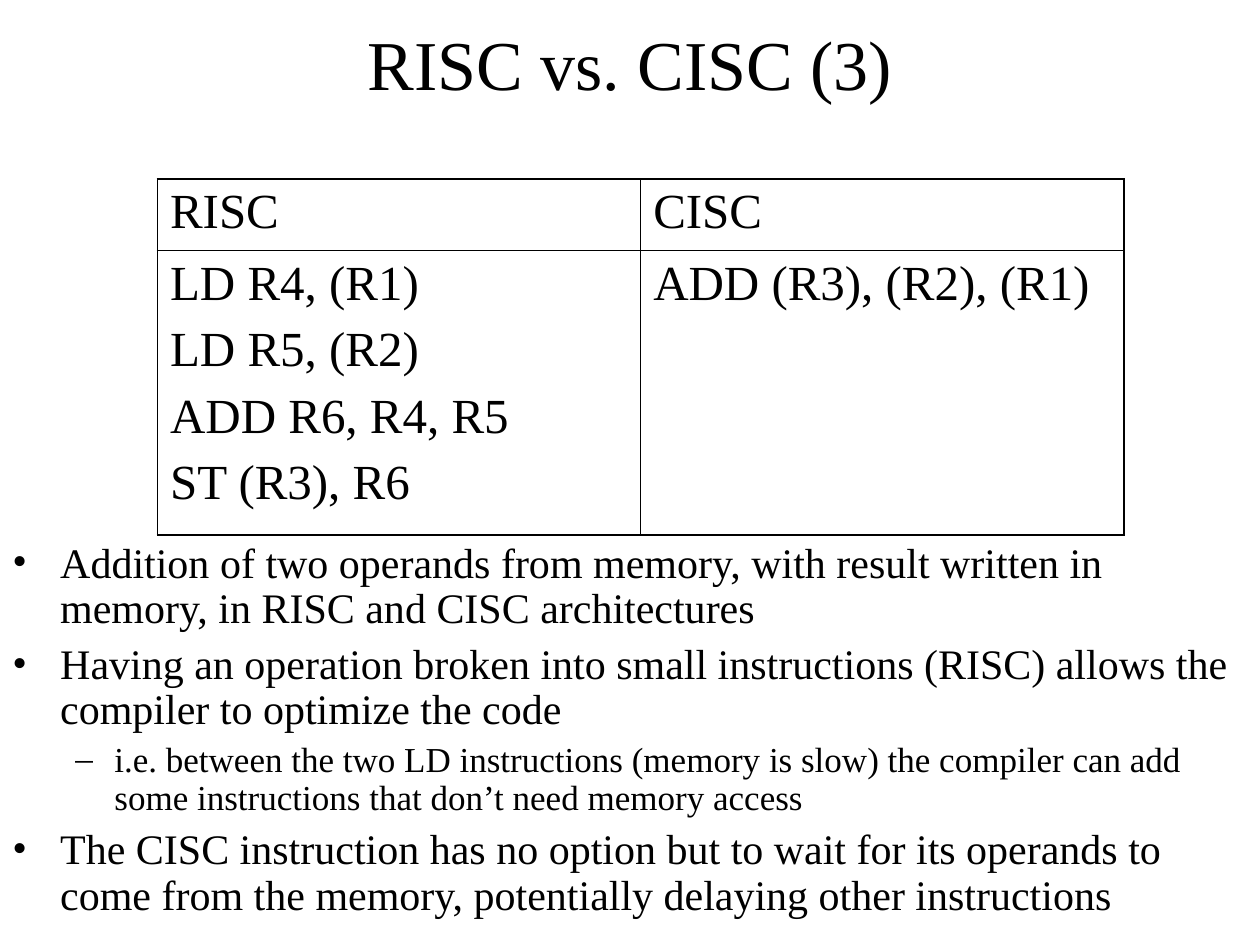
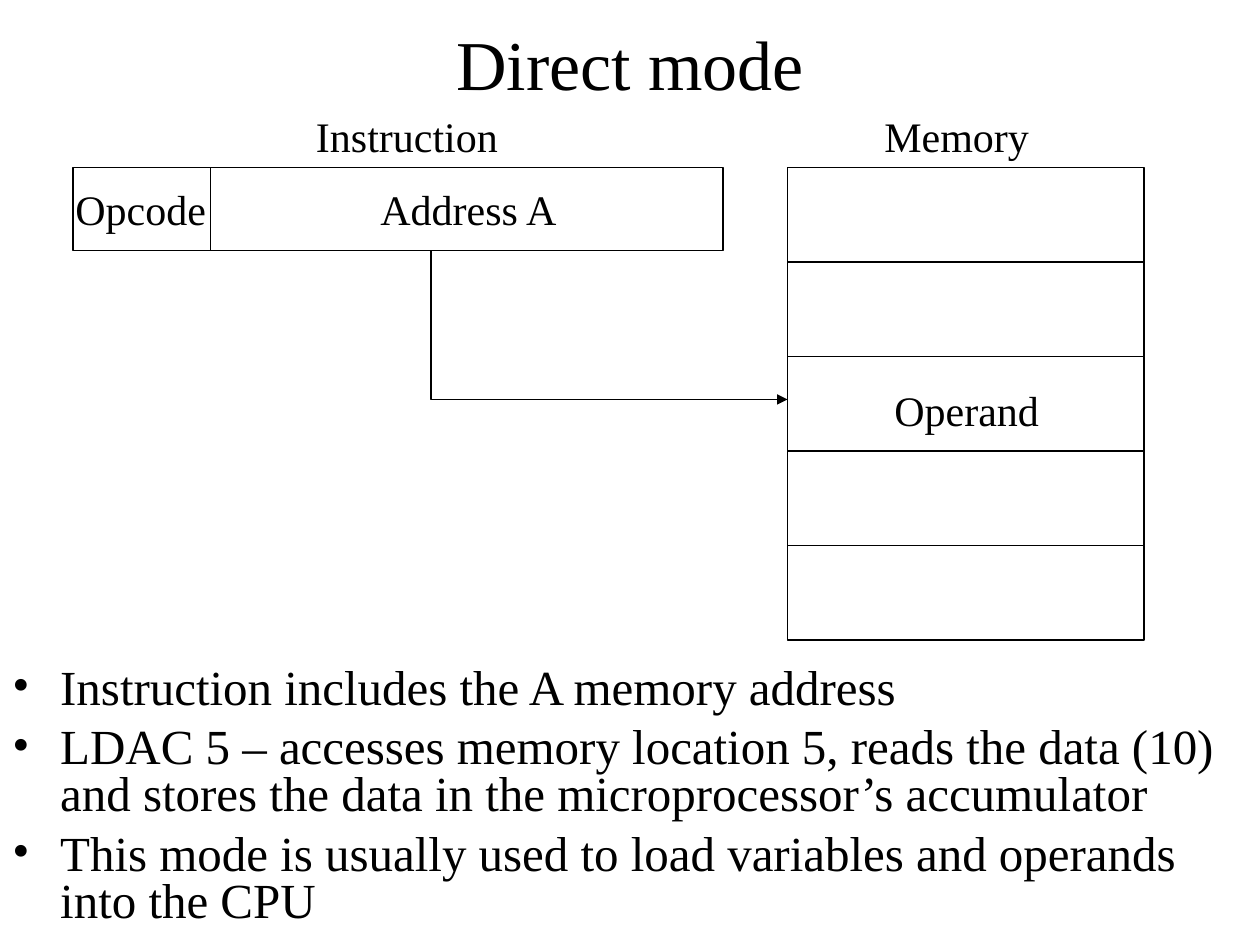
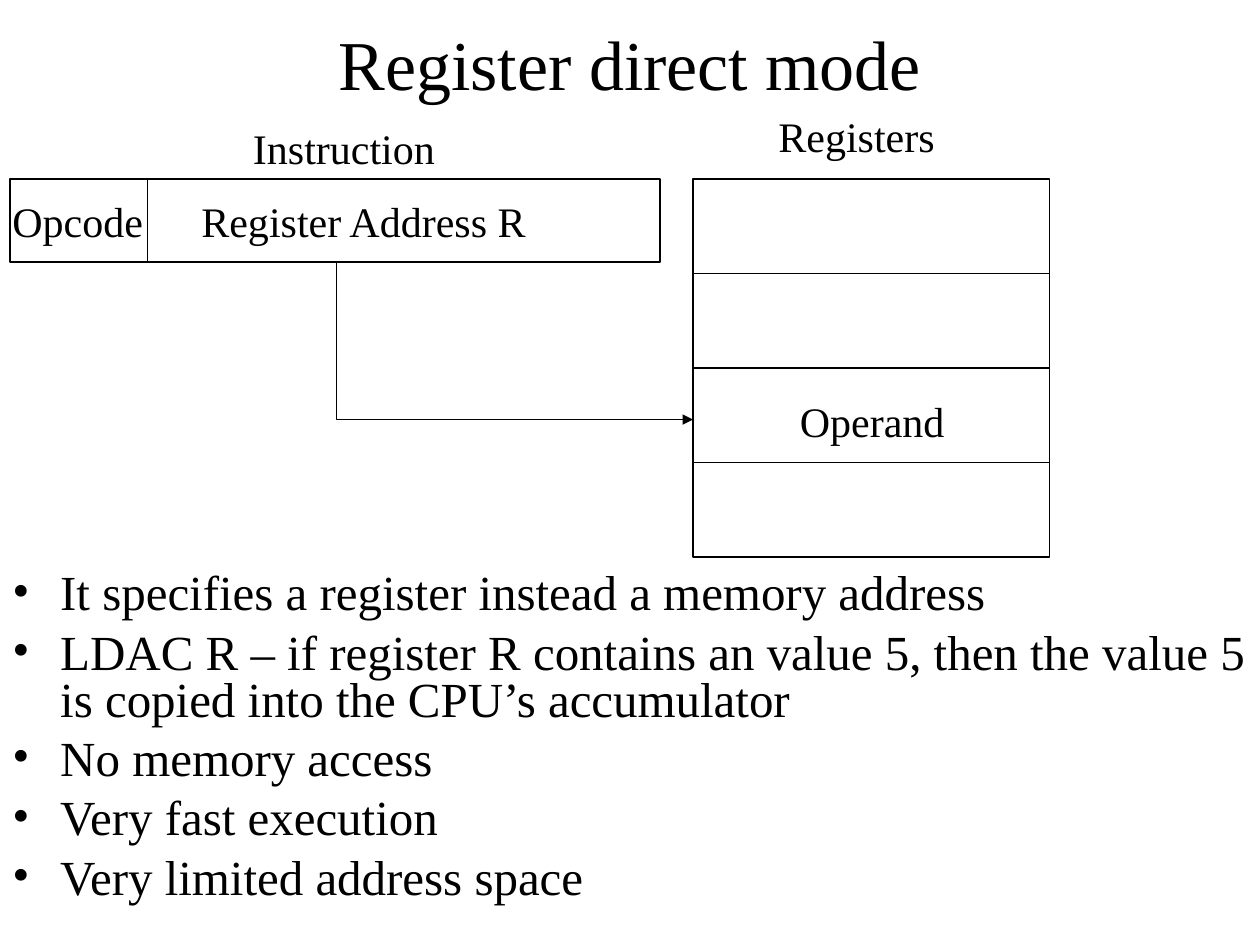
from dataclasses import dataclass

from lxml.etree import SubElement
from pptx import Presentation
from pptx.dml.color import RGBColor
from pptx.enum.shapes import MSO_CONNECTOR as Connector, MSO_SHAPE as Preset
from pptx.enum.text import MSO_ANCHOR as Anchor, MSO_AUTO_SIZE as AutoSize, PP_ALIGN as Align
from pptx.oxml.ns import qn
from pptx.util import Inches, Pt


@dataclass(frozen=True)
class Theme:
    ink: str = "000000"
    paper: str = "FFFFFF"
    face: str = "Times New Roman"
    title: int = 40
    large: int = 28
    medium: int = 24
    small: int = 20
    line: float = 1
    outer_border: float = 1.08
    inner_border: float = 0.45


@dataclass(frozen=True)
class Box:
    left: float
    top: float
    width: float
    height: float

    def inches(self):
        return [Inches(v) for v in (self.left, self.top, self.width, self.height)]


THEME = Theme()
INK = RGBColor.from_string(THEME.ink)
TITLE_BOX = Box(0, 0, 10, 1)
CELL_WIDTH, CELL_HEIGHT = 2.83, 0.75
FRAME_WIDTH, FRAME_HEIGHT, OPCODE_WIDTH = 5.16, 0.66, 1.09
OPERAND_CELL = 2
# Per outline level: bullet, left edge of the text, hanging width
LEVELS = [("•", 0.38, 0.38), ("–", 0.81, 0.31)]


def set_values(target, values):
    for name, value in values.items():
        setattr(target, name, value)


def add_span(para, text, size):
    span = para.add_run()
    span.text = text
    set_values(span.font, {"name": THEME.face, "size": Pt(size), "bold": False})
    span.font.color.rgb = INK


def add_solid(parent):
    fill = SubElement(parent, qn("a:solidFill"))
    SubElement(fill, qn("a:srgbClr"), val=THEME.ink)


def set_line(shape):
    shape.line.color.rgb = INK
    shape.line.width = Pt(THEME.line)


def add_page(deck, title):
    page = deck.slides.add_slide(deck.slide_layouts[5])
    page.background.fill.solid()
    page.background.fill.fore_color.rgb = RGBColor.from_string(THEME.paper)
    holder = page.shapes.title
    set_values(holder, dict(zip(("left", "top", "width", "height"), TITLE_BOX.inches())))
    set_values(holder.text_frame, {"vertical_anchor": Anchor.MIDDLE,
                                   "auto_size": AutoSize.NONE, "word_wrap": True})
    para = holder.text_frame.paragraphs[0]
    para.alignment = Align.CENTER
    add_span(para, title, THEME.title)
    return page


def add_bullets(page, box, items, sizes, line_spacing):
    """Write (level, text) items; sizes holds one type size per level."""
    frame = page.shapes.add_textbox(*box.inches()).text_frame
    frame.word_wrap = True
    for index, (level, text) in enumerate(items):
        para = frame.paragraphs[0] if index == 0 else frame.add_paragraph()
        bullet, indent, hanging = LEVELS[level]
        properties = para._p.get_or_add_pPr()
        properties.set("marL", str(Inches(indent)))
        properties.set("indent", str(-Inches(hanging)))
        colour = SubElement(properties, qn("a:buClr"))
        SubElement(colour, qn("a:srgbClr"), val=THEME.ink)
        SubElement(properties, qn("a:buFont"), typeface=THEME.face)
        SubElement(properties, qn("a:buChar"), char=bullet)
        set_values(para, {"level": level, "line_spacing": line_spacing})
        if index:
            para.space_before = Pt(round(sizes[level] / 4))
        add_span(para, text, sizes[level])


def add_label(page, left, top, width, text):
    frame = page.shapes.add_textbox(*Box(left, top, width, 0.5).inches()).text_frame
    set_values(frame, {"word_wrap": False, "auto_size": AutoSize.SHAPE_TO_FIT_TEXT})
    add_span(frame.paragraphs[0], text, THEME.medium)


def add_rectangle(shapes, box):
    shape = shapes.add_shape(Preset.RECTANGLE, *box.inches())
    shape.shadow.inherit = False
    shape.fill.background()
    set_line(shape)


def add_borders(cell, widths):
    """Draw the left, right, top and bottom borders, ahead of the cell's fill."""
    properties = cell._tc.get_or_add_tcPr()
    for index, (side, width) in enumerate(zip("LRTB", widths)):
        border = SubElement(properties, qn(f"a:ln{side}"), w=str(Pt(width)))
        add_solid(border)
        properties.insert(index, border)


def add_code_table(page, box, row_heights, rows):
    """Fill a table whose cells are lists of lines."""
    row_count, column_count = len(rows), len(rows[0])
    table = page.shapes.add_table(row_count, column_count, *box.inches()).table
    set_values(table, {"first_row": False, "horz_banding": False})
    for column in table.columns:
        column.width = Inches(box.width / column_count)
    outer, inner = THEME.outer_border, THEME.inner_border
    for r, (height, row) in enumerate(zip(row_heights, rows)):
        table.rows[r].height = Inches(height)
        for c, lines in enumerate(row):
            cell = table.cell(r, c)
            cell.fill.background()
            on_edge = (c == 0, c == column_count - 1, r == 0, r == row_count - 1)
            add_borders(cell, [outer if edge else inner for edge in on_edge])
            for index, text in enumerate(lines):
                para = cell.text_frame.paragraphs[0] if index == 0 else cell.text_frame.add_paragraph()
                if index:
                    para.space_before = Pt(7)
                add_span(para, text, THEME.large)


def add_instruction(page, left, top, address, address_left, address_width):
    group = page.shapes.add_group_shape()
    add_rectangle(group.shapes, Box(left, top, FRAME_WIDTH, FRAME_HEIGHT))
    x = Inches(left + OPCODE_WIDTH)
    divider = group.shapes.add_connector(Connector.STRAIGHT, x, Inches(top),
                                         x, Inches(top + FRAME_HEIGHT))
    set_line(divider)
    SubElement(divider._element.spPr, qn("a:effectLst"))
    add_label(page, left + address_left, top + 0.08, address_width, address)
    add_label(page, left - 0.08, top + 0.08, 1.24, "Opcode")
    add_label(page, left + 1.83, top - 0.5, 1.66, "Instruction")


def add_storage(page, left, top, cell_count, caption, caption_left, caption_width):
    """Stack the cells of a memory or register file, one holding the operand."""
    for index in range(cell_count):
        add_rectangle(page.shapes, Box(left, top + index * CELL_HEIGHT, CELL_WIDTH, CELL_HEIGHT))
    add_label(page, left + caption_left, 0.83, caption_width, caption)
    add_label(page, left + 0.75, top + OPERAND_CELL * CELL_HEIGHT + 0.17, 1.35, "Operand")


def add_elbow_arrow(page, start, end):
    """Go down from start, then across to end."""
    (x1, y1), (x2, y2) = [[Inches(v) for v in point] for point in (start, end)]
    builder = page.shapes.build_freeform(x1, y1)
    builder.add_line_segments([(x1, y2), (x2, y2)], close=False)
    arrow = builder.convert_to_shape()
    arrow.shadow.inherit = False
    arrow.fill.background()
    set_line(arrow)
    SubElement(arrow.line._get_or_add_ln(), qn("a:tailEnd"), type="triangle")


def add_comparison_page(deck):
    page = add_page(deck, "RISC vs. CISC (3)")
    add_bullets(page, Box(0, 4.25, 10, 3.25), [
        (0, "Addition of two operands from memory, with result written in memory, "
            "in RISC and CISC architectures"),
        (0, "Having an operation broken into small instructions (RISC) allows the "
            "compiler to optimize the code"),
        (1, "i.e. between the two LD instructions (memory is slow) the compiler can add "
            "some instructions that don’t need memory access"),
        (0, "The CISC instruction has no option but to wait for its operands to come "
            "from the memory, potentially delaying other instructions"),
    ], (THEME.medium, THEME.small), 0.9)
    add_code_table(page, Box(1.25, 1.42, 7.67, 2.81), (0.56, 2.25), [
        [["RISC"], ["CISC"]],
        [["LD R4, (R1)", "LD R5, (R2)", "ADD R6, R4, R5", "ST (R3), R6"],
         ["ADD (R3), (R2), (R1)"]],
    ])


def add_mode_page(deck, title, bullets_top, bullets, instruction, storage, arrow):
    page = add_page(deck, title)
    add_bullets(page, Box(0, bullets_top, 10, 7.5 - bullets_top),
                [(0, text) for text in bullets], (THEME.large,), 0.8)
    add_instruction(page, **instruction)
    add_storage(page, **storage)
    arrow_left, arrow_bottom = arrow
    add_elbow_arrow(page, (arrow_left, instruction["top"] + FRAME_HEIGHT),
                    (storage["left"], arrow_bottom))


def main():
    deck = Presentation()
    set_values(deck, {"slide_width": Inches(10), "slide_height": Inches(7.5)})
    add_comparison_page(deck)
    add_mode_page(
        deck, "Direct mode", 5.25,
        ["Instruction includes the A memory address",
         "LDAC 5 – accesses memory location 5, reads the data (10) and stores the data "
         "in the microprocessor’s accumulator",
         "This mode is usually used to load variables and operands into the CPU"],
        instruction={"left": 0.58, "top": 1.33, "address": "Address A",
                     "address_left": 2.34, "address_width": 1.61},
        storage={"left": 6.25, "top": 1.33, "cell_count": 5, "caption": "Memory",
                 "caption_left": 0.67, "caption_width": 1.35},
        arrow=(3.42, 3.17))
    add_mode_page(
        deck, "Register direct mode", 4.5,
        ["It specifies a register instead a memory address",
         "LDAC R – if register R contains an value 5, then the value 5 is copied into "
         "the CPU’s accumulator",
         "No memory access",
         "Very fast execution",
         "Very limited address space"],
        instruction={"left": 0.08, "top": 1.42, "address": "Register Address R",
                     "address_left": 1.42, "address_width": 2.79},
        storage={"left": 5.5, "top": 1.42, "cell_count": 4, "caption": "Registers",
                 "caption_left": 0.58, "caption_width": 1.44},
        arrow=(2.67, 3.33))
    deck.save("out.pptx")


if __name__ == "__main__":
    main()
